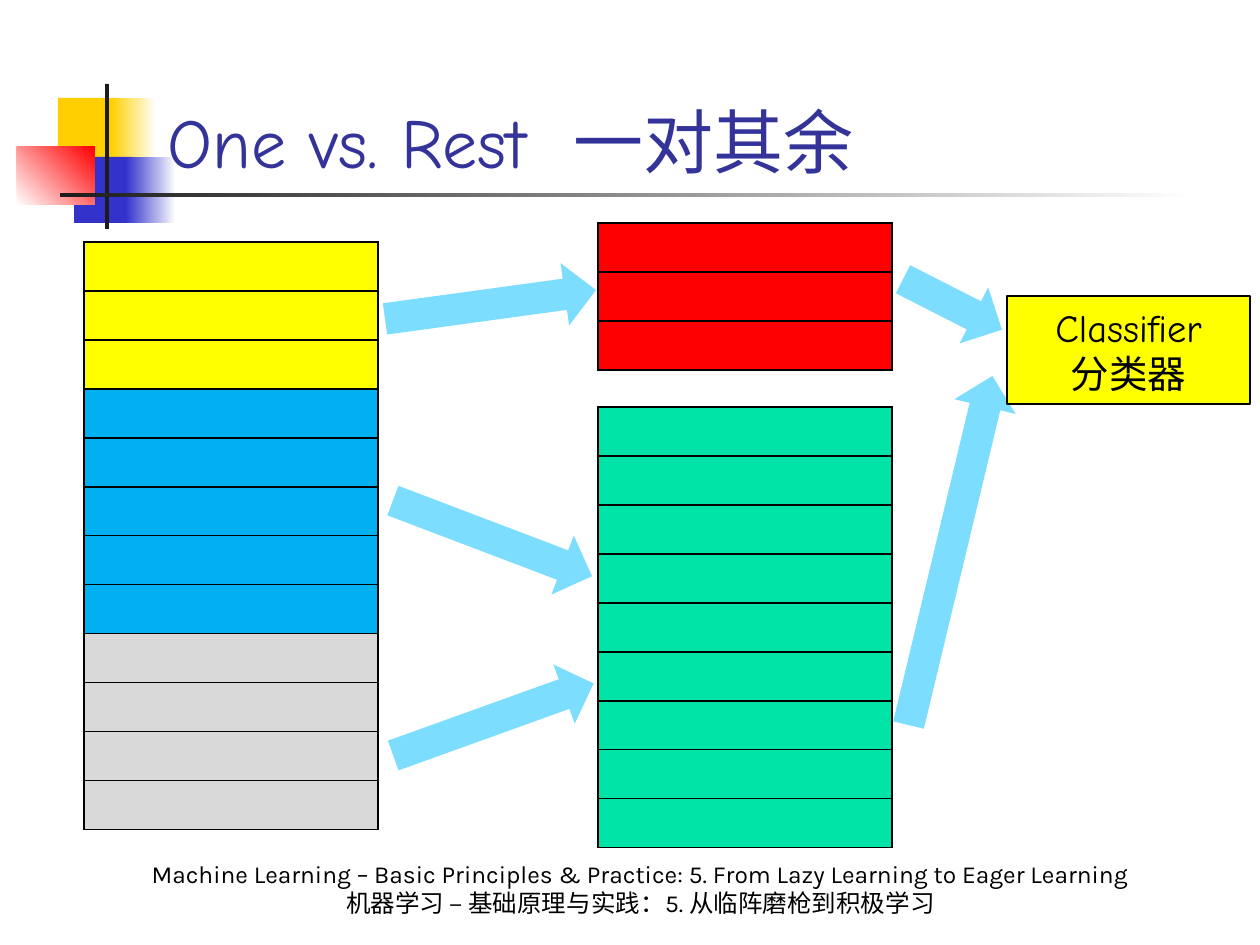
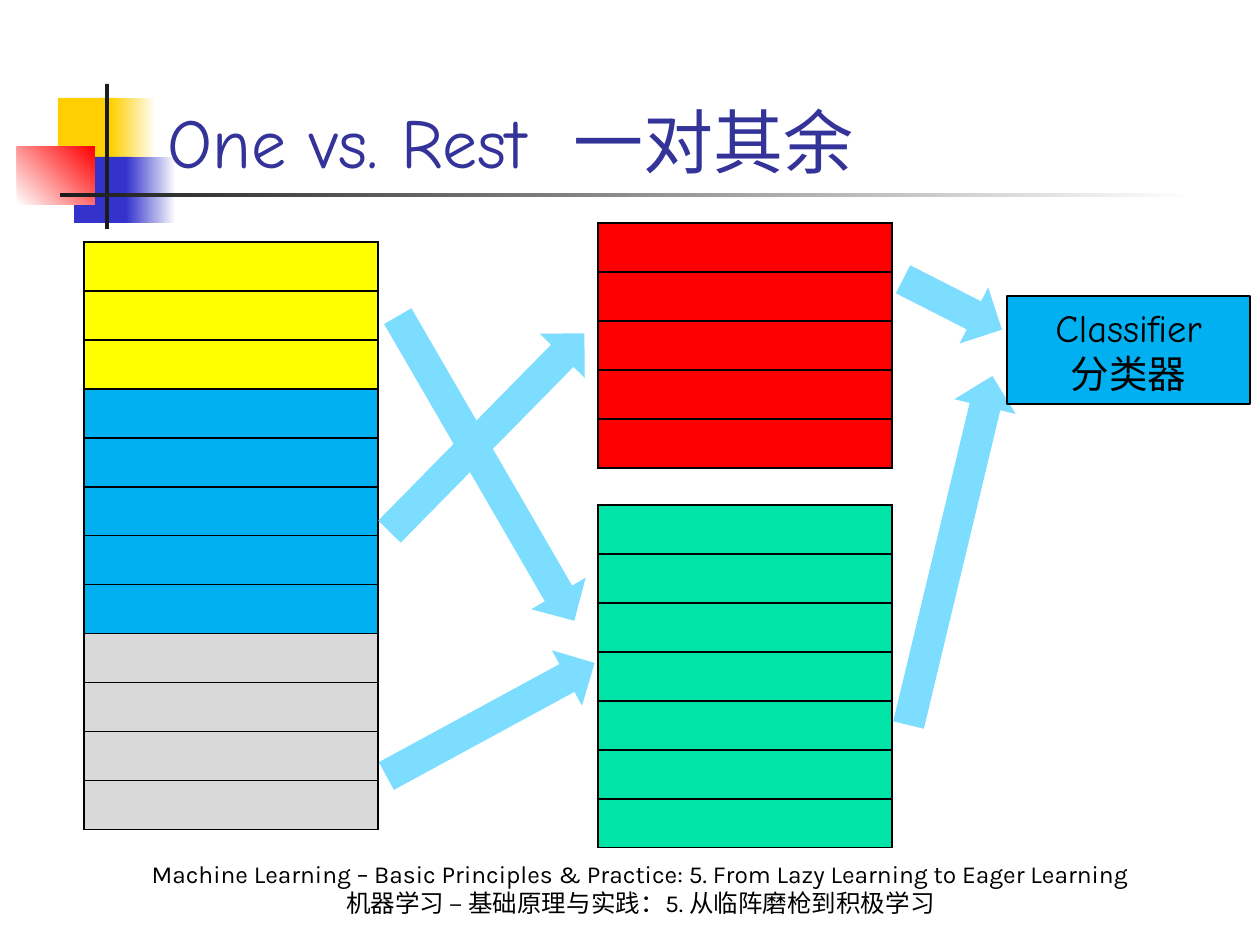
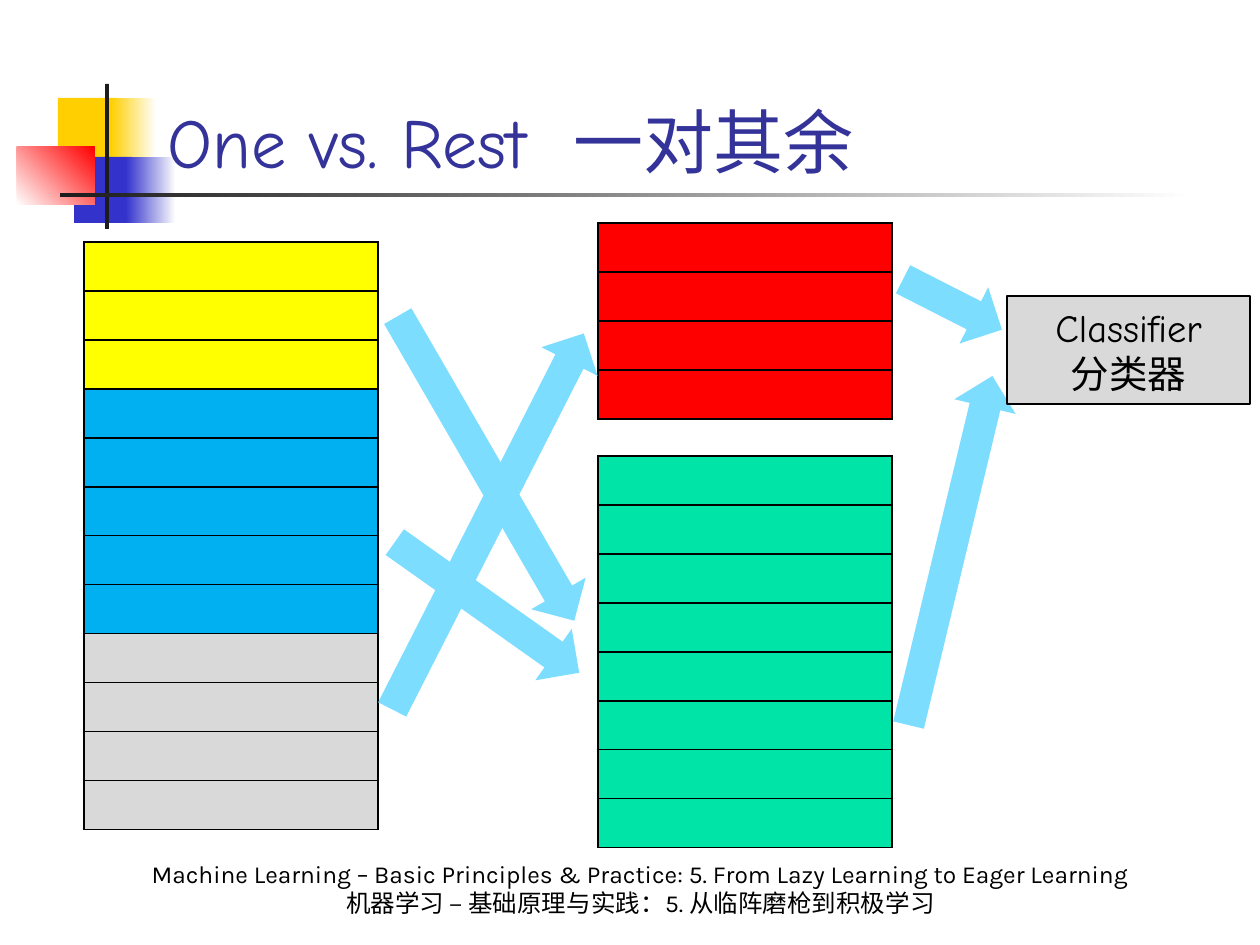
from dataclasses import dataclass
from typing import Optional

from lxml.etree import SubElement
from pptx import Presentation
from pptx.dml.color import RGBColor
from pptx.enum.shapes import MSO_SHAPE
from pptx.enum.text import MSO_ANCHOR, MSO_AUTO_SIZE, PP_ALIGN
from pptx.oxml import parse_xml
from pptx.oxml.ns import nsdecls, qn
from pptx.util import Emu, Pt

EMU_PER_INCH = 914400
PX_PER_INCH = 126

COLORS = {
    "black": "000000",
    "white": "FFFFFF",
    "ink": "1C1C1C",
    "gold": "FFCF01",
    "indigo": "3333CC",
    "title": "333399",
    "red": "FF0000",
    "yellow": "FFFF00",
    "blue": "00B0F0",
    "gray": "D9D9D9",
    "green": "00E4A8",
    "arrow": "7DDDFF",
}
HAND_FONT = "Comic Neue"
FOOTER_FONT = "Karla"

TITLE = "One vs. Rest  一对其余"
FOOTER = [
    "Machine Learning – Basic Principles & Practice: 5. From Lazy Learning to Eager Learning",
    "机器学习 – 基础原理与实践：5. 从临阵磨枪到积极学习",
]
CLASSIFIER = ["Classifier", "分类器"]

ROW_HEIGHT = 49
STACK_WIDTH = 294
STACK_GAP = 37
SAMPLES_LEFT, SAMPLES_TOP = 84, 242
SPLIT_LEFT, SPLIT_TOP = 598, 223
ARROW_HEIGHT = 63
CLASS_SIZES = {"yellow": 3, "blue": 5, "gray": 4}


@dataclass(frozen=True)
class Panel:
    left: int
    top: int
    width: int
    height: int
    color: str
    fade_to: Optional[str] = None
    angle: int = 0


@dataclass(frozen=True)
class Arrow:
    left: int
    top: int
    length: int
    rotation: float


@dataclass(frozen=True)
class Split:
    chosen: str
    arrows: tuple[Arrow, ...]


DECORATION = (
    Panel(58, 98, 60, 66, "gold"),
    Panel(111, 98, 45, 66, "gold", "white"),
    Panel(74, 157, 58, 66, "indigo"),
    Panel(126, 157, 50, 66, "indigo", "white"),
    Panel(17, 147, 78, 58, "white", "red", 45),
    Panel(105, 84, 4, 145, "ink"),
    Panel(60, 193, 1134, 4, "ink", "white"),
)
YELLOW_TO_REST = Arrow(310, 437, 352, 59.9)
TO_CLASSIFIER = (Arrow(897, 273, 111, 27), Arrow(771, 519, 359, 283.5))
SPLITS = (
    Split("yellow", (
        Arrow(384, 273, 213, 352.2),
        Arrow(386, 507, 213, 20.8),
        Arrow(387, 688, 213, 340.2),
    )),
    Split("blue", (
        YELLOW_TO_REST,
        Arrow(348, 401, 278, 314.5),
        Arrow(372, 688, 237, 331.5),
    )),
    Split("gray", (
        YELLOW_TO_REST,
        Arrow(277, 490, 422, 297),
        Arrow(374, 576, 226, 35.3),
    )),
)


def px(value: int) -> Emu:
    return Emu(round(value * EMU_PER_INCH / PX_PER_INCH))


def rgb(name: str) -> RGBColor:
    return RGBColor.from_string(COLORS[name])


def write(frame, lines: list[str], *, size: int, font: str, color: str = "black",
          align=PP_ALIGN.CENTER, anchor=MSO_ANCHOR.BOTTOM) -> None:
    frame.word_wrap = True
    frame.auto_size = MSO_AUTO_SIZE.NONE
    frame.vertical_anchor = anchor
    for index, line in enumerate(lines):
        para = frame.paragraphs[0] if index == 0 else frame.add_paragraph()
        para.alignment = align
        span = para.add_run()
        span.text = line
        span.font.size = Pt(size)
        span.font.name = font
        span.font.color.rgb = rgb(color)


def add_box(page, preset, left: int, top: int, width: int, height: int, color: str):
    box = page.shapes.add_shape(preset, px(left), px(top), px(width), px(height))
    box.shadow.inherit = False
    box.fill.solid()
    box.fill.fore_color.rgb = rgb(color)
    box.line.fill.background()
    return box


def add_panel(page, panel: Panel):
    box = add_box(page, MSO_SHAPE.RECTANGLE, panel.left, panel.top,
                  panel.width, panel.height, panel.color)
    if panel.fade_to:
        box.fill.gradient()
        box.fill.gradient_angle = panel.angle
        for stop, color in zip(box.fill.gradient_stops, (panel.color, panel.fade_to)):
            stop.color.rgb = rgb(color)
    return box


def add_arrow(page, arrow: Arrow) -> None:
    box = add_box(page, MSO_SHAPE.RIGHT_ARROW, arrow.left, arrow.top,
                  arrow.length, ARROW_HEIGHT, "arrow")
    box.rotation = arrow.rotation


def add_borders(cell) -> None:
    properties = cell._tc.get_or_add_tcPr()
    for index, side in enumerate(("lnL", "lnR", "lnT", "lnB")):
        border = parse_xml(f'<a:{side} {nsdecls("a")} w="{Pt(1)}"/>')
        fill = SubElement(border, qn("a:solidFill"))
        SubElement(fill, qn("a:srgbClr"), val=COLORS["black"])
        properties.insert(index, border)


def add_stack(page, left: int, top: int, colors: list[str]) -> None:
    table = page.shapes.add_table(len(colors), 1, px(left), px(top), px(STACK_WIDTH),
                                  px(ROW_HEIGHT * len(colors))).table
    table.first_row = False
    table.horz_banding = False
    for row, color in zip(table.rows, colors):
        row.height = px(ROW_HEIGHT)
        cell = row.cells[0]
        cell.margin_top = cell.margin_bottom = 0
        cell.fill.solid()
        cell.fill.fore_color.rgb = rgb(color)
        add_borders(cell)


def add_classifier(page, color: str) -> None:
    box = add_box(page, MSO_SHAPE.RECTANGLE, 1007, 296, 243, 108, color)
    box.line.color.rgb = rgb("black")
    box.line.width = Pt(0.75)
    write(box.text_frame, CLASSIFIER, size=22, font=HAND_FONT, anchor=MSO_ANCHOR.MIDDLE)


def add_frame(page) -> None:
    title = page.shapes.title
    title.left, title.top, title.width, title.height = map(px, (155, 63, 1074, 126))
    write(title.text_frame, [TITLE], size=40, font=HAND_FONT, color="title",
          align=PP_ALIGN.LEFT)
    footer = page.shapes.add_textbox(*map(px, (105, 861, 1071, 63)))
    write(footer.text_frame, FOOTER, size=14, font=FOOTER_FONT)


def decorate_layout(page) -> None:
    tree = page.slide_layout.shapes.element
    for panel in DECORATION:
        tree.append(add_panel(page, panel).element)


def add_split(page, split: Split) -> None:
    samples = [color for color, size in CLASS_SIZES.items() for _ in range(size)]
    chosen_rows = CLASS_SIZES[split.chosen]
    rest_top = SPLIT_TOP + ROW_HEIGHT * chosen_rows + STACK_GAP
    add_stack(page, SAMPLES_LEFT, SAMPLES_TOP, samples)
    add_stack(page, SPLIT_LEFT, SPLIT_TOP, ["red"] * chosen_rows)
    add_stack(page, SPLIT_LEFT, rest_top, ["green"] * (len(samples) - chosen_rows))
    for arrow in split.arrows + TO_CLASSIFIER:
        add_arrow(page, arrow)
    add_classifier(page, split.chosen)


def main() -> None:
    deck = Presentation()
    deck.slide_width, deck.slide_height = px(1260), px(945)
    layout = deck.slide_layouts[5]
    for index, split in enumerate(SPLITS):
        page = deck.slides.add_slide(layout)
        if index == 0:
            decorate_layout(page)
        add_frame(page)
        add_split(page, split)
    deck.save("out.pptx")


if __name__ == "__main__":
    main()
